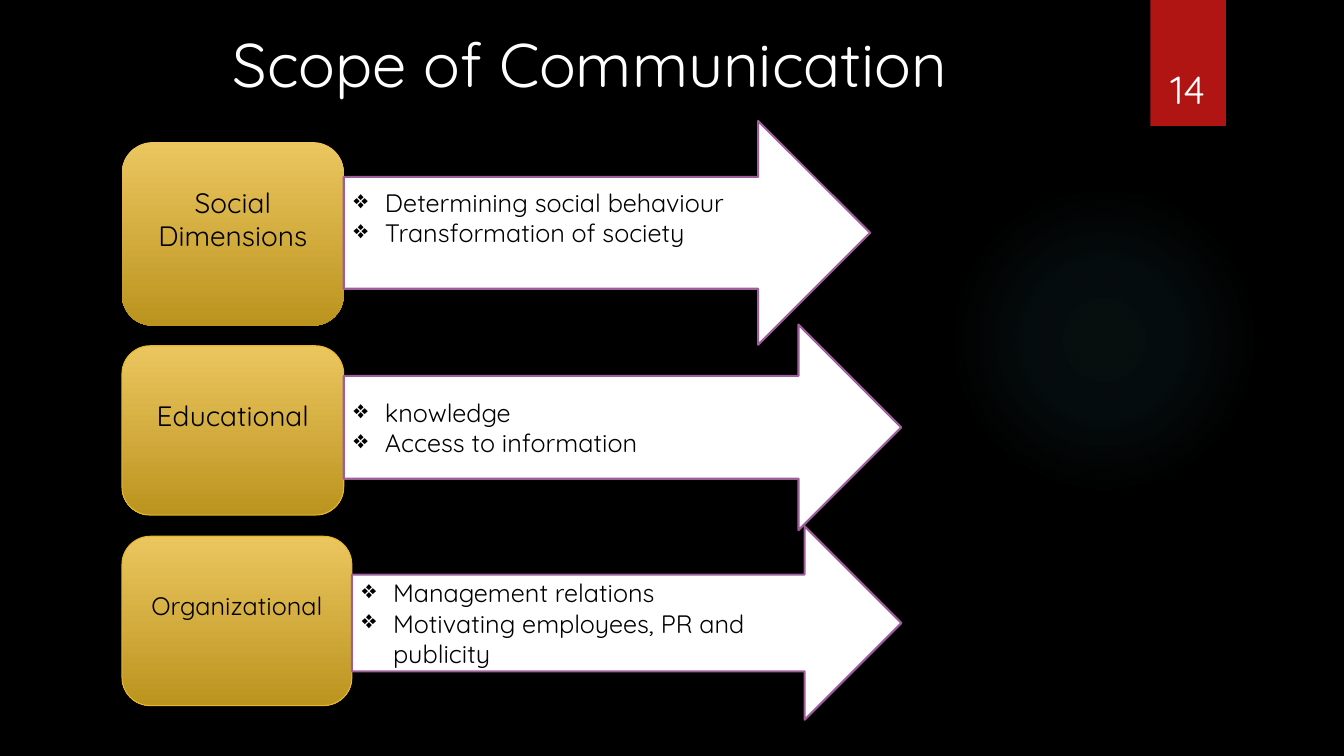
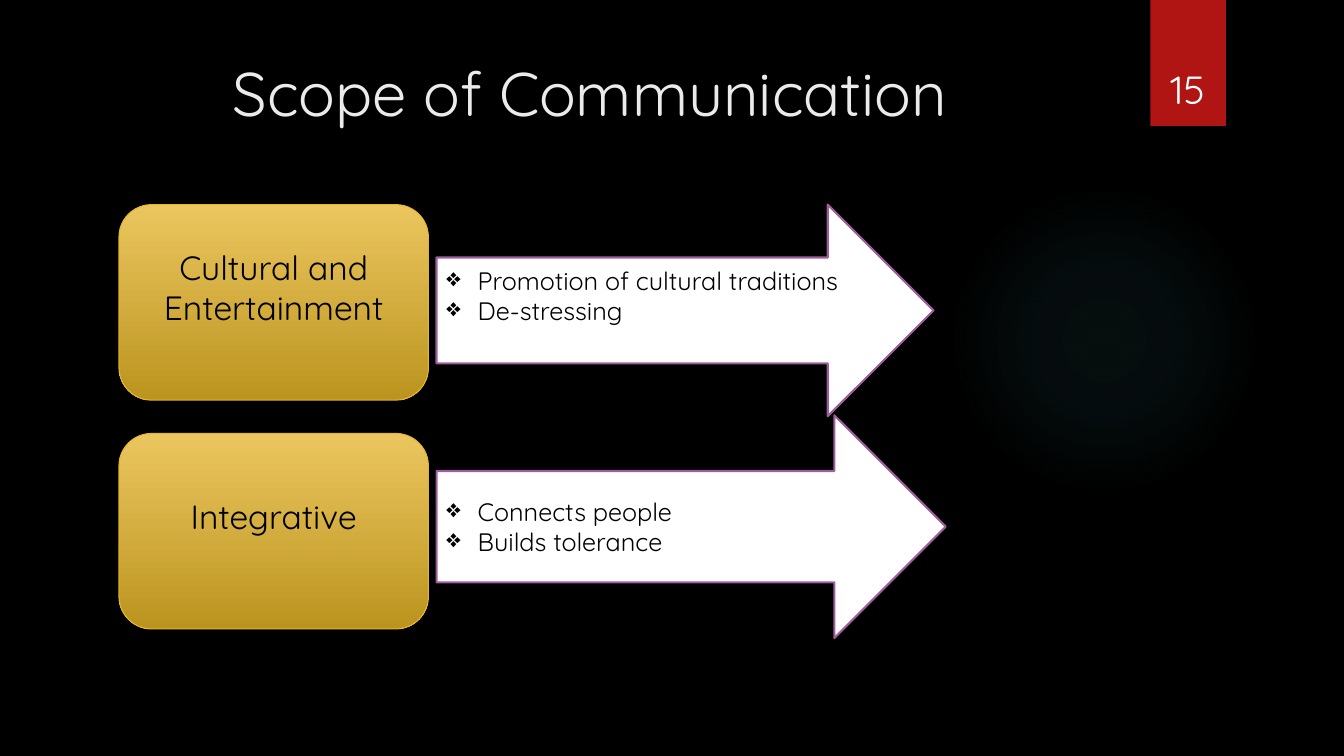
from lxml import etree
from pptx import Presentation
from pptx import util as u
from pptx.dml.color import RGBColor
from pptx.enum import shapes, text
from pptx.oxml import ns, parse_xml

FONT = "Quicksand"
BLACK, WHITE, SOFT_WHITE = "000000", "FFFFFF", "EBEBEB"
RED, TEAL, PURPLE = "B01513", "50B9C1", "9E5E9B"
GOLD_LIGHT, GOLD_DARK, GOLD_EDGE = "EBC65F", "BB941F", "E6B729"
SPARE_LINE = 0.3

SOCIAL_PAGE = {
    "number": "14", "title_top": 0.21, "title_color": WHITE,
    "rows": [
        {"label": "Social Dimensions", "size": 20, "edge": None,
         "box": (1.21, 1.41, 2.2, 1.82), "arrow": (3.41, 1.2, 5.22, 2.22),
         "points": ["Determining social behaviour", "Transformation of society"],
         "raised": True},
        {"label": "Educational", "size": 20, "edge": GOLD_EDGE,
         "box": (1.21, 3.43, 2.2, 1.68), "arrow": (3.41, 3.22, 5.53, 2.04),
         "points": ["knowledge", "Access to information"], "raised": False},
        {"label": "Organizational", "size": 18, "edge": GOLD_EDGE,
         "box": (1.21, 5.32, 2.28, 1.68), "arrow": (3.49, 5.22, 5.45, 1.92),
         "points": ["Management relations", "Motivating employees, PR and publicity"],
         "raised": False},
    ],
}
CULTURAL_PAGE = {
    "number": "15", "title_top": 0.5, "title_color": SOFT_WHITE,
    "rows": [
        {"label": "Cultural and Entertainment", "size": 24, "edge": GOLD_EDGE,
         "box": (1.18, 2.03, 3.07, 1.94), "arrow": (4.33, 2.03, 4.93, 2.1),
         "points": ["Promotion of cultural traditions", "De-stressing"],
         "raised": True},
        {"label": "Integrative", "size": 24, "edge": GOLD_EDGE,
         "box": (1.18, 4.3, 3.07, 1.94), "arrow": (4.33, 4.12, 5.05, 2.21),
         "points": ["Connects people", "Builds tolerance"], "raised": False},
    ],
}


def color(value):
    """Turn a hex string into a colour."""
    return RGBColor.from_string(value)


def add_preset(page, kind, place, fill=None, edge=None, width=0.75):
    """Add a shadowless preset shape with an optional fill and outline."""
    shape = page.shapes.add_shape(kind, *map(u.Inches, place))
    shape.shadow.inherit = False
    if fill:
        shape.fill.solid()
        shape.fill.fore_color.rgb = color(fill)
    if edge:
        shape.line.color.rgb = color(edge)
        shape.line.width = u.Pt(width)
    else:
        shape.line.fill.background()
    return shape


def write(shape, lines, size, ink, anchor, align=text.PP_ALIGN.CENTER):
    """Put formatted paragraphs into a shape."""
    frame = shape.text_frame
    frame.word_wrap = True
    frame.vertical_anchor = anchor
    frame.text = "\n".join(lines)
    for para in frame.paragraphs:
        para.alignment = align
        for span in para.runs:
            span.font.name = FONT
            span.font.size = u.Pt(size)
            span.font.color.rgb = color(ink)
    return frame


def add_text(page, place, words, size, ink, anchor):
    """Add a centred text box."""
    box = page.shapes.add_textbox(*map(u.Inches, place))
    write(box, [words], size, ink, anchor)


def add_bullet(para):
    """Give a paragraph a diamond bullet and a hanging indent."""
    properties = para._p.get_or_add_pPr()
    properties.set("marL", str(u.Inches(0.31)))
    properties.set("indent", str(u.Inches(-0.31)))
    etree.SubElement(properties, ns.qn("a:buChar")).set("char", "❖")


def add_glow(page, place):
    """Add a faint circle of light that fades towards its rim."""
    glow = add_preset(page, shapes.MSO_SHAPE.OVAL, place)
    stops = "".join(
        f'<a:gs pos="{position}000"><a:srgbClr val="{TEAL}">'
        f'<a:alpha val="{opacity}000"/></a:srgbClr></a:gs>'
        for position, opacity in ((0, 7), (36, 6), (69, 0)))
    fade = parse_xml(
        f'<a:gradFill {ns.nsdecls("a")}><a:gsLst>{stops}</a:gsLst>'
        '<a:path path="circle"><a:fillToRect l="50000" t="50000" r="50000" b="50000"/>'
        '</a:path></a:gradFill>')
    glow._element.spPr.find(ns.qn("a:prstGeom")).addnext(fade)


def add_label(page, row):
    """Add the gold box that names a row."""
    box = add_preset(page, shapes.MSO_SHAPE.ROUNDED_RECTANGLE, row["box"], edge=row["edge"])
    box.fill.gradient()
    box.fill.gradient_angle = 270
    for stop, shade in zip(box.fill.gradient_stops, (GOLD_LIGHT, GOLD_DARK)):
        stop.color.rgb = color(shade)
    frame = write(box, [row["label"]], row["size"], BLACK, text.MSO_ANCHOR.MIDDLE)
    frame.margin_bottom = u.Inches(0.05 + SPARE_LINE)


def add_arrow(page, row):
    """Add the white arrow that lists a row's points."""
    arrow = add_preset(page, shapes.MSO_SHAPE.RIGHT_ARROW, row["arrow"], WHITE, PURPLE, 1.5)
    frame = write(arrow, row["points"], 18, BLACK, text.MSO_ANCHOR.MIDDLE, text.PP_ALIGN.LEFT)
    if row["raised"]:
        frame.margin_bottom = u.Inches(0.05 + SPARE_LINE)
    for para in frame.paragraphs:
        add_bullet(para)


def add_page(deck, content):
    """Add one scope slide with its glow, number tab, title and rows."""
    page = deck.slides.add_slide(deck.slide_layouts[6])
    page.background.fill.solid()
    page.background.fill.fore_color.rgb = color(BLACK)
    add_glow(page, (9.41, 1.83, 3.08, 3.08))
    add_preset(page, shapes.MSO_SHAPE.RECTANGLE, (11.41, 0, 0.75, 1.25), RED)
    top = content["title_top"]
    add_text(page, (0.71, top, 10.29, 2.03 - top), "Scope of Communication", 44,
             content["title_color"], text.MSO_ANCHOR.TOP)
    for row in content["rows"]:
        add_label(page, row)
        add_arrow(page, row)
    add_text(page, (11.32, 0.32, 0.92, 0.84), content["number"], 28, WHITE,
             text.MSO_ANCHOR.BOTTOM)


def main():
    """Build and save the deck."""
    deck = Presentation()
    deck.slide_width, deck.slide_height = u.Inches(13.33), u.Inches(7.5)
    for content in (SOCIAL_PAGE, CULTURAL_PAGE):
        add_page(deck, content)
    deck.save("out.pptx")


if __name__ == "__main__":
    main()
